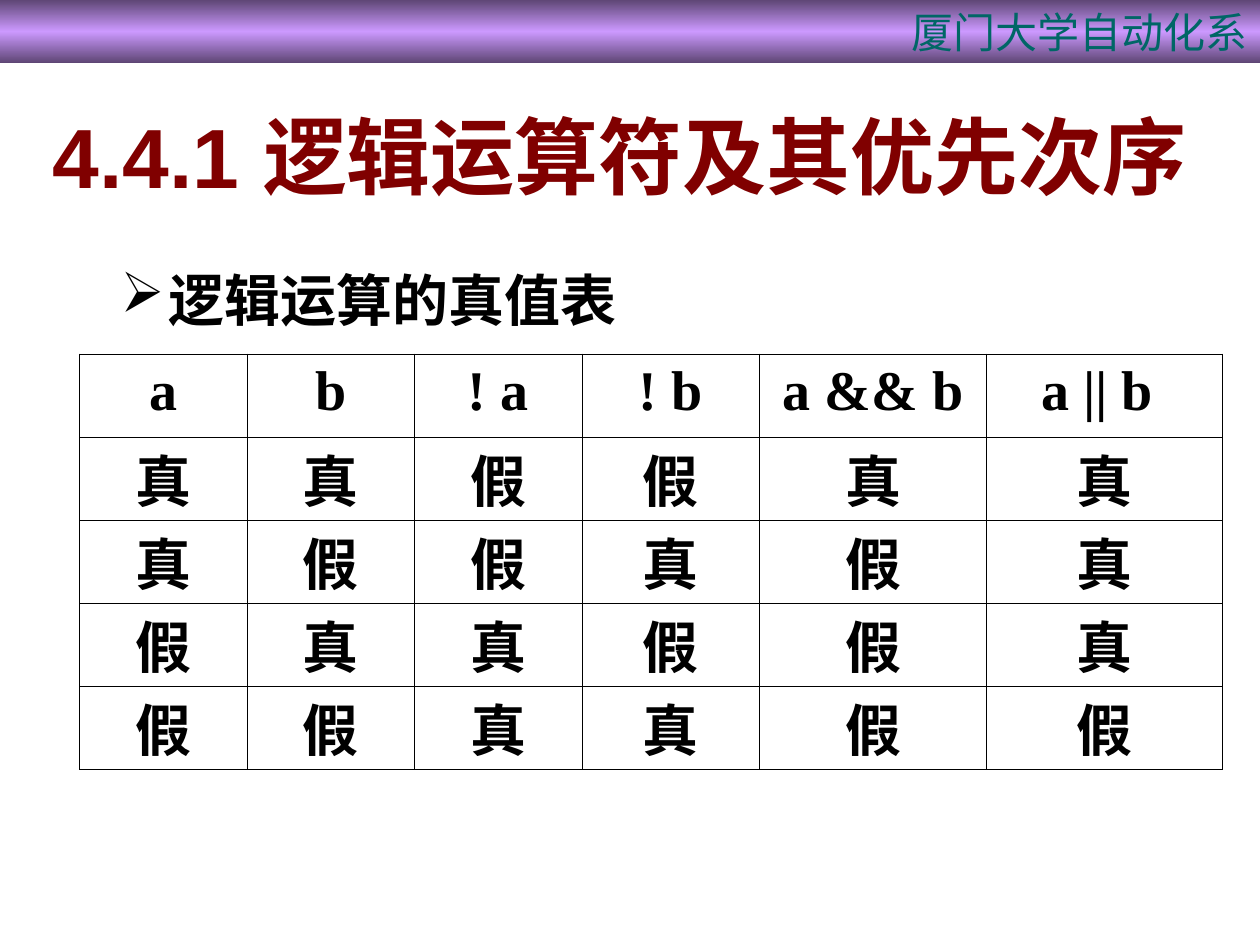
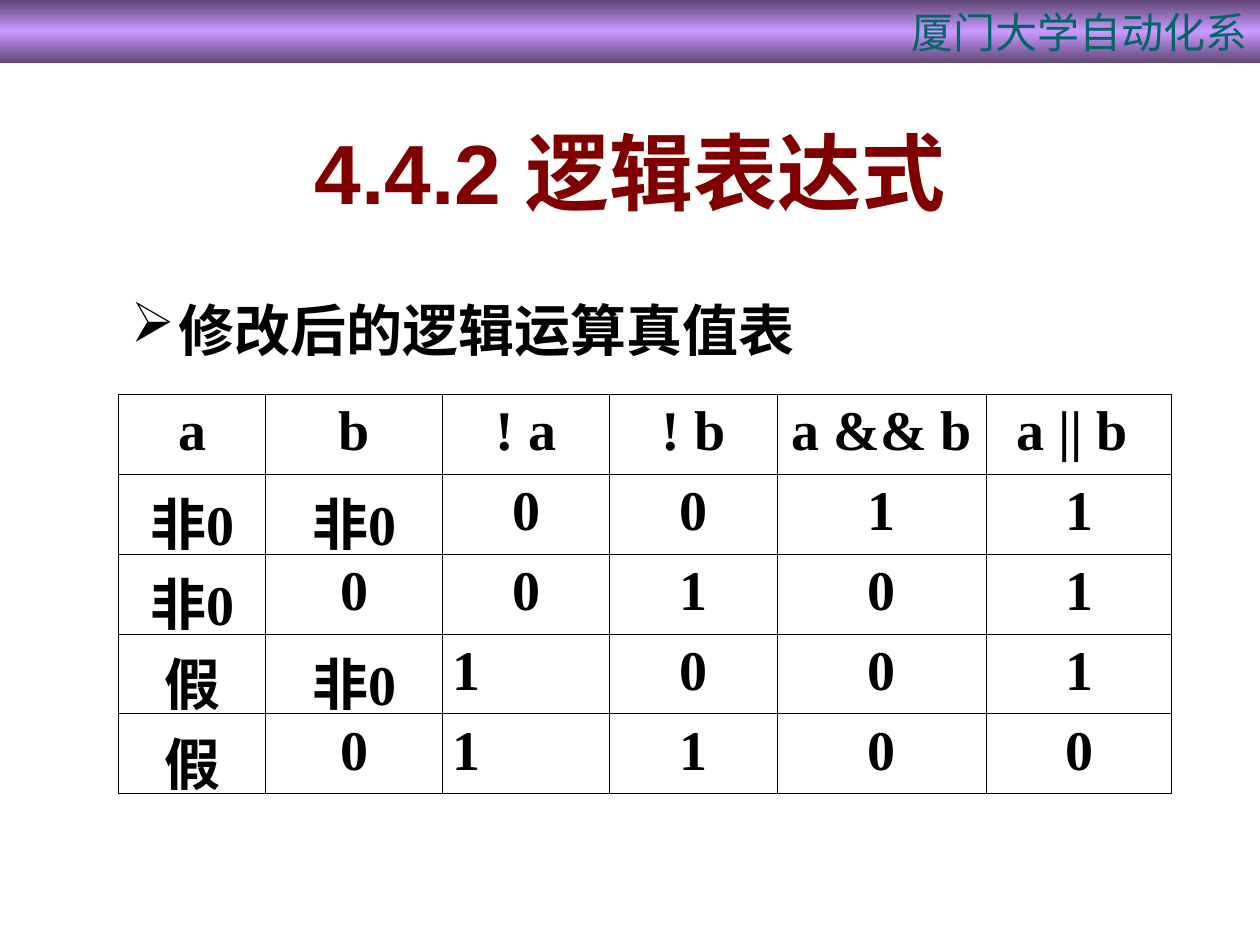
from dataclasses import dataclass
from typing import Any

from lxml import etree
from pptx import Presentation
from pptx.dml.color import RGBColor
from pptx.enum.shapes import MSO_SHAPE
from pptx.enum.text import MSO_ANCHOR, PP_ALIGN
from pptx.oxml.ns import qn
from pptx.util import Inches, Pt

RECTANGLE = MSO_SHAPE.RECTANGLE
TOP, MIDDLE = MSO_ANCHOR.TOP, MSO_ANCHOR.MIDDLE
LEFT, CENTER, RIGHT, JUSTIFY = PP_ALIGN.LEFT, PP_ALIGN.CENTER, PP_ALIGN.RIGHT, PP_ALIGN.JUSTIFY

COLORS = {
    "band_edge": "5E4675",
    "band_middle": "CC99FF",
    "department": "006666",
    "title": "800000",
    "text": "000000",
    "title_shadow": "808080",
}
DEPARTMENT = "厦门大学自动化系"
HEADERS = ["a", "b", "! a", "! b", "a && b", "a || b "]
BORDER_POINTS = 0.45


@dataclass(frozen=True)
class Box:
    left: float
    top: float
    width: float
    height: float

    def lengths(self) -> list[int]:
        return [Inches(value) for value in (self.left, self.top, self.width, self.height)]


@dataclass(frozen=True)
class TextStyle:
    size: int
    color: str
    font: str = "Arial"
    bold: bool = True
    alignment: Any = LEFT


@dataclass(frozen=True)
class TruthTable:
    left: float
    top: float
    column_widths: list[float]
    row_height: float
    rows: list[list[str]]
    justified: frozenset[tuple[int, int]] = frozenset()
    line_points: int | None = None  # fixed line height that keeps the body rows from growing


@dataclass(frozen=True)
class LessonSlide:
    title: str
    title_box: Box
    heading: str
    heading_box: Box
    heading_font: str
    table: TruthTable


DEPARTMENT_STYLE = TextStyle(24, "department", bold=False, alignment=RIGHT)
TITLE_STYLE = TextStyle(48, "title", alignment=CENTER)
CELL_STYLE = TextStyle(32, "text", "Times New Roman", alignment=CENTER)

LESSONS = [
    LessonSlide(
        "4.4.1 逻辑运算符及其优先次序", Box(0.23, 0.55, 9.38, 1.36),
        "逻辑运算的真值表", Box(0.86, 1.95, 4.77, 0.7), "Arial",
        TruthTable(
            0.63, 2.81, [1.33, 1.33, 1.33, 1.41, 1.8, 1.87], 0.66,
            [list(row) for row in ("真真假假真真", "真假假真假真", "假真真假假真", "假假真真假假")],
            line_points=43,
        ),
    ),
    LessonSlide(
        "4.4.2 逻辑表达式", Box(0.39, 0.9, 9.22, 0.91),
        "修改后的逻辑运算真值表", Box(0.94, 2.19, 6.17, 0.86), "DejaVu Sans",
        TruthTable(
            0.94, 3.13, [1.17, 1.4, 1.33, 1.33, 1.66, 1.47], 0.56,
            [
                ["非0", "非0", "0", "0", "1", "1"],
                ["非0", "0", "0", "1", "0", "1"],
                ["假", "非0", "1", "0", "0", "1"],
                ["假", "0", "1", "1", "0", "0"],
            ],
            justified=frozenset({(3, 2), (4, 2)}),
        ),
    ),
]


def set_attributes(target: Any, values: dict[str, Any]) -> None:
    for name, value in values.items():
        setattr(target, name, value)


def add_element(parent: Any, tag: str, **attributes: str) -> Any:
    return etree.SubElement(parent, qn(tag), attributes)


def write_text(text_frame: Any, text: str, style: TextStyle) -> Any:
    """Write one paragraph and return it."""
    paragraph = text_frame.paragraphs[0]
    paragraph.alignment = style.alignment
    run = paragraph.add_run()
    run.text = text
    set_attributes(run.font, {"name": style.font, "size": Pt(style.size), "bold": style.bold})
    run.font.color.rgb = RGBColor.from_string(COLORS[style.color])
    return paragraph


def add_text_box(slide: Any, box: Box, text: str, style: TextStyle, anchor: Any, side_inset: float) -> Any:
    text_frame = slide.shapes.add_textbox(*box.lengths()).text_frame
    set_attributes(text_frame, {
        "word_wrap": True,
        "vertical_anchor": anchor,
        "margin_left": Inches(side_inset),
        "margin_right": Inches(side_inset),
    })
    return write_text(text_frame, text, style)


def add_band(slide: Any) -> None:
    band = slide.shapes.add_shape(RECTANGLE, *Box(0, 0, 10, 0.5).lengths())
    band.shadow.inherit = False
    band.line.fill.background()
    band.fill.gradient()
    band.fill.gradient_angle = 270
    stops = band.fill._fill._gradFill.find(qn("a:gsLst"))
    for stop in list(stops):
        stops.remove(stop)
    for position, color in ((0, "band_edge"), (50, "band_middle"), (100, "band_edge")):
        stop = add_element(stops, "a:gs", pos=str(position * 1000))
        add_element(stop, "a:srgbClr", val=COLORS[color])
    band.text_frame.vertical_anchor = MIDDLE
    write_text(band.text_frame, DEPARTMENT, DEPARTMENT_STYLE)


def add_title(slide: Any, lesson: LessonSlide) -> None:
    paragraph = add_text_box(slide, lesson.title_box, lesson.title, TITLE_STYLE, MIDDLE, 0)
    properties = paragraph.runs[0].font._element
    effects = etree.Element(qn("a:effectLst"))
    shadow = add_element(effects, "a:outerShdw", dist="38100", dir="2700000")
    add_element(shadow, "a:srgbClr", val=COLORS["title_shadow"])
    properties.find(qn("a:solidFill")).addnext(effects)


def add_heading(slide: Any, lesson: LessonSlide) -> None:
    style = TextStyle(32, "text", lesson.heading_font)
    paragraph = add_text_box(slide, lesson.heading_box, lesson.heading, style, TOP, 0.1)
    paragraph.line_spacing = 1.2
    properties = paragraph._p.get_or_add_pPr()
    properties.set("marL", str(Inches(0.38)))
    properties.set("indent", str(-Inches(0.38)))
    add_element(add_element(properties, "a:buClr"), "a:srgbClr", val=COLORS["text"])
    add_element(properties, "a:buChar", char="➢")


def add_borders(cell: Any) -> None:
    properties = cell._tc.get_or_add_tcPr()
    for index, side in enumerate("LRTB"):
        line = etree.Element(qn(f"a:ln{side}"), {"w": str(Pt(BORDER_POINTS))})
        add_element(add_element(line, "a:solidFill"), "a:srgbClr", val=COLORS["text"])
        properties.insert(index, line)


def add_truth_table(slide: Any, truth: TruthTable) -> None:
    rows = [HEADERS, *truth.rows]
    box = Box(truth.left, truth.top, sum(truth.column_widths), truth.row_height * len(rows))
    table = slide.shapes.add_table(len(rows), len(HEADERS), *box.lengths()).table
    set_attributes(table, {"first_row": False, "horz_banding": False})
    for column, width in zip(table.columns, truth.column_widths):
        column.width = Inches(width)
    for row_index, row in enumerate(rows):
        table.rows[row_index].height = Inches(truth.row_height)
        for column_index, text in enumerate(row):
            cell = table.cell(row_index, column_index)
            fixed_line = row_index > 0 and truth.line_points is not None
            set_attributes(cell, {
                "margin_left": Inches(0.08),
                "margin_right": Inches(0.08),
                "margin_top": Inches(0.05),
                "margin_bottom": Inches(0 if fixed_line else 0.05),
            })
            cell.fill.background()
            add_borders(cell)
            paragraph = write_text(cell.text_frame, text, CELL_STYLE)
            if fixed_line:
                paragraph.line_spacing = Pt(truth.line_points)
            if (row_index, column_index) in truth.justified:
                paragraph.alignment = JUSTIFY


def main() -> None:
    presentation = Presentation()
    set_attributes(presentation, {"slide_width": Inches(10), "slide_height": Inches(7.5)})
    blank_layout = presentation.slide_layouts[6]
    for lesson in LESSONS:
        slide = presentation.slides.add_slide(blank_layout)
        add_band(slide)
        add_title(slide, lesson)
        add_heading(slide, lesson)
        add_truth_table(slide, lesson.table)
    presentation.save("out.pptx")


if __name__ == "__main__":
    main()
